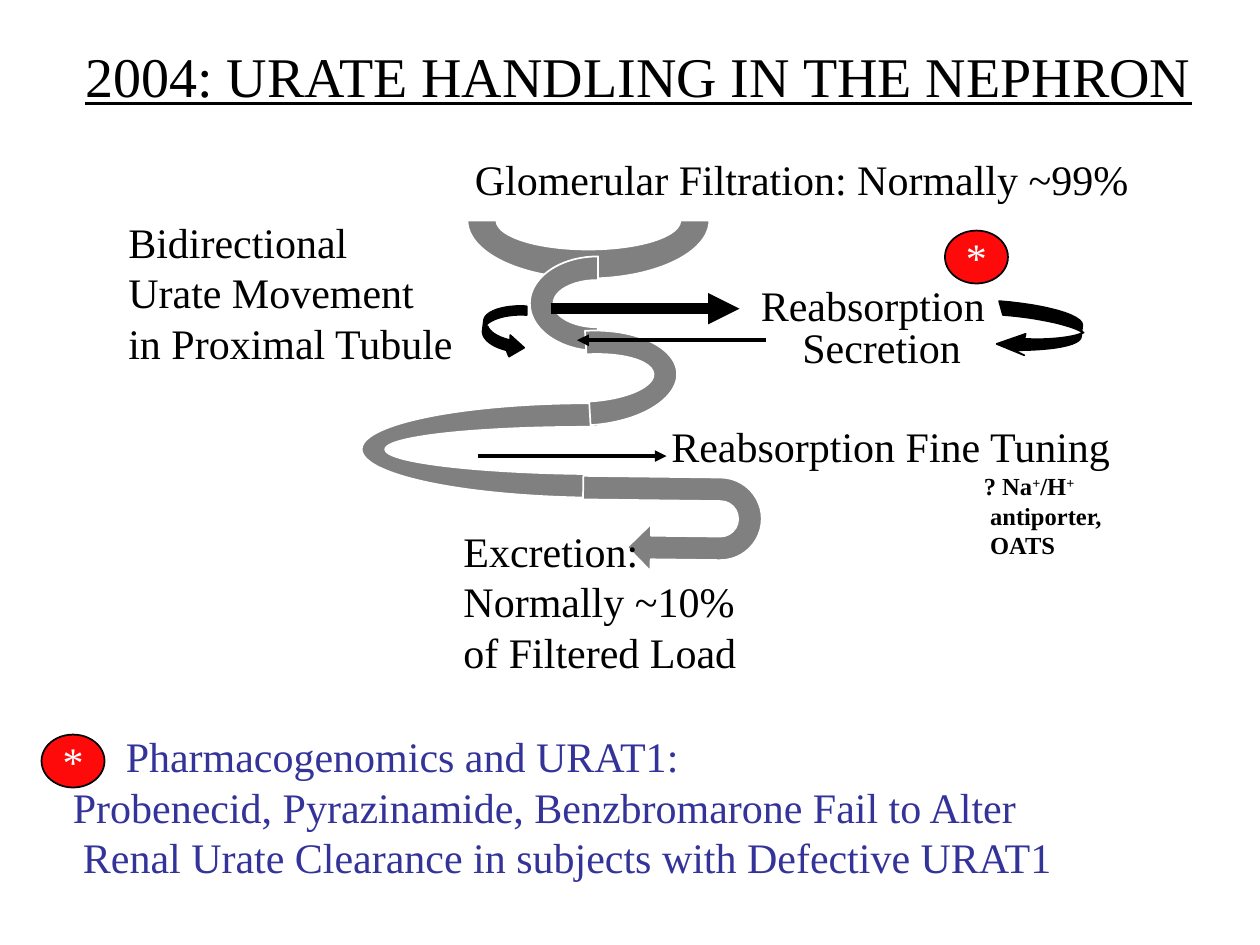
from pptx import Presentation
from pptx.dml.color import RGBColor
from pptx.enum.shapes import MSO_CONNECTOR, MSO_SHAPE
from pptx.enum.text import MSO_ANCHOR, MSO_AUTO_SIZE, PP_ALIGN
from pptx.oxml.ns import qn
from pptx.util import Inches, Pt
from lxml.etree import SubElement

FONT = "Times New Roman"
BLACK, WHITE, GRAY, RED, BLUE = "000000", "FFFFFF", "808080", "FF0A0A", "333399"

# preset, left, top, width, height, rotation, flipped vertically
TUBULE = [
    (MSO_SHAPE.BLOCK_ARC, 3.71, 1.29, 1.92, 0.92, 0, True),
    (MSO_SHAPE.BLOCK_ARC, 4.37, 1.7, 0.75, 3.75, 270.3, False),
    (MSO_SHAPE.U_TURN_ARROW, 4.96, 3.45, 0.75, 1.42, 90.7, False),
    (MSO_SHAPE.BLOCK_ARC, 4.37, 1.87, 0.75, 1.08, 270.3, False),
    (MSO_SHAPE.BLOCK_ARC, 4.29, 2.29, 0.75, 1.42, 86.6, False),
]

# start x, end x, y, line width
FLUXES = [(4.37, 5.87, 2.45, 6), (6.08, 4.58, 2.7, 2.25), (3.79, 5.29, 3.62, 2.25)]

# Each outline step is one point (straight) or three points (Bezier curve).
REABSORPTION_LOOP = [
    [(7.93, 2.39)],
    [(8.3, 2.42), (8.59, 2.5), (8.59, 2.58)],
    [(8.58, 2.67)],
    [(8.58, 2.74), (8.36, 2.78), (8.05, 2.78)],
    [(8.13, 2.82)], [(7.91, 2.73)], [(8.14, 2.65)], [(8.13, 2.69)],
    [(8.33, 2.7), (8.51, 2.68), (8.6, 2.64)],
    [(8.56, 2.62)],
    [(8.45, 2.57), (8.22, 2.52), (7.96, 2.5)],
]
TUBULE_LOOP = [
    [(4.18, 2.43)],
    [(4, 2.42), (3.84, 2.47), (3.84, 2.55)],
    [(3.83, 2.63)],
    [(3.83, 2.69), (3.9, 2.75), (4.02, 2.78)],
    [(4.04, 2.83)], [(4.16, 2.76)], [(4.05, 2.66)], [(4.05, 2.7)],
    [(3.96, 2.68), (3.89, 2.64), (3.87, 2.59)],
    [(3.85, 2.59)],
    [(3.89, 2.53), (4.03, 2.49), (4.18, 2.5)],
]


def color(hex_string):
    return RGBColor.from_string(hex_string)


def paint(shape, fill, line):
    shape.shadow.inherit = False
    shape.fill.solid()
    shape.fill.fore_color.rgb = color(fill)
    shape.line.color.rgb = color(line)
    shape.line.width = Pt(1)


def add_run(paragraph, text, size=24, ink=BLACK, bold=False, underline=False,
            superscript=False):
    run = paragraph.add_run()
    run.text = text
    font = run.font
    font.name, font.size, font.color.rgb = FONT, Pt(size), color(ink)
    if bold:
        font.bold = True
    if underline:
        font.underline = True
    if superscript:
        run._r.get_or_add_rPr().set("baseline", "30000")


def add_label(slide, left, top, width, height, lines, **style):
    """Add a text box; each line is a string or an (indent, string) pair."""
    box = slide.shapes.add_textbox(*map(Inches, (left, top, width, height)))
    frame = box.text_frame
    frame.word_wrap = False
    frame.auto_size = MSO_AUTO_SIZE.SHAPE_TO_FIT_TEXT
    for number, line in enumerate(lines):
        indent, text = line if isinstance(line, tuple) else (0, line)
        paragraph = frame.paragraphs[0] if number == 0 else frame.add_paragraph()
        indent_paragraph(paragraph, indent)
        add_run(paragraph, text, **style)
    return frame


def indent_paragraph(paragraph, indent):
    if indent:
        paragraph._p.get_or_add_pPr().set("marL", str(Inches(indent)))


def add_tubule_segment(slide, preset, left, top, width, height, rotation, flipped):
    segment = slide.shapes.add_shape(preset, *map(Inches, (left, top, width, height)))
    paint(segment, GRAY, WHITE)
    segment.rotation = rotation
    if flipped:
        segment._element.spPr.find(qn("a:xfrm")).set("flipV", "1")


def add_flux_arrow(slide, start, end, y, width):
    arrow = slide.shapes.add_connector(
        MSO_CONNECTOR.STRAIGHT, Inches(start), Inches(y), Inches(end), Inches(y))
    arrow.line.color.rgb = color(BLACK)
    arrow.line.width = Pt(width)
    SubElement(arrow.line._get_or_add_ln(), qn("a:tailEnd"), type="triangle")
    SubElement(arrow._element.spPr, qn("a:effectLst"))


def curve_points(start, first, second, end, steps=12):
    for step in range(1, steps + 1):
        t = step / steps
        weights = ((1 - t) ** 3, 3 * t * (1 - t) ** 2, 3 * t * t * (1 - t), t ** 3)
        yield tuple(sum(w * p[axis] for w, p in zip(weights, (start, first, second, end)))
                    for axis in (0, 1))


def add_curved_arrow(slide, outline):
    points = []
    for step in outline:
        points.extend(step if len(step) == 1 else curve_points(points[-1], *step))
    corners = [(Inches(x), Inches(y)) for x, y in points]
    builder = slide.shapes.build_freeform(*corners[0])
    builder.add_line_segments(corners[1:], close=True)
    paint(builder.convert_to_shape(), BLACK, BLACK)


def add_star_marker(slide, left, top):
    marker = slide.shapes.add_shape(
        MSO_SHAPE.OVAL, Inches(left), Inches(top), Inches(0.5), Inches(0.42))
    paint(marker, RED, BLACK)
    frame = marker.text_frame
    frame.word_wrap = False
    frame.vertical_anchor = MSO_ANCHOR.MIDDLE
    frame.paragraphs[0].alignment = PP_ALIGN.CENTER
    add_run(frame.paragraphs[0], "*", ink=WHITE)


def add_fine_tuning(slide):
    frame = add_label(slide, 5.23, 3.29, 3.7, 2, ["Reabsorption Fine Tuning"])
    transporters = [
        (2.48, [("? Na", False), ("+", True), ("/H", False), ("+", True)]),
        (2.53, [("antiporter,", False)]),
        (2.53, [("OATS", False)]),
    ]
    for indent, pieces in transporters:
        paragraph = frame.add_paragraph()
        indent_paragraph(paragraph, indent)
        for text, raised in pieces:
            add_run(paragraph, text, size=14, bold=True, superscript=raised)


def main():
    presentation = Presentation()
    presentation.slide_width, presentation.slide_height = Inches(10), Inches(7.5)
    slide = presentation.slides.add_slide(presentation.slide_layouts[6])

    for segment in TUBULE:
        add_tubule_segment(slide, *segment)
    for flux in FLUXES:
        add_flux_arrow(slide, *flux)

    add_label(slide, 5.94, 2.17, 1.98, 0.5, ["Reabsorption"])
    add_label(slide, 6.27, 2.5, 1.46, 0.5, ["Secretion"])
    add_fine_tuning(slide)
    add_label(slide, 3.58, 4.12, 2.43, 1.3,
              ["Excretion:", "Normally ~10%", "of Filtered Load"])
    add_label(slide, 3.67, 1.17, 5.39, 0.5, ["Glomerular Filtration: Normally ~99%"])
    for loop in (REABSORPTION_LOOP, TUBULE_LOOP):
        add_curved_arrow(slide, loop)
    add_label(slide, 0.92, 1.67, 2.79, 1.3,
              ["Bidirectional", "Urate Movement", "in Proximal Tubule"])
    add_label(slide, 0.58, 0.28, 9.04, 0.64, ["2004: URATE HANDLING IN THE NEPHRON"],
              size=32, underline=True)
    add_star_marker(slide, 7.5, 1.83)
    add_label(slide, 0.48, 5.75, 8.01, 1.3, [
        (0.42, "Pharmacogenomics and URAT1:"),
        "Probenecid, Pyrazinamide, Benzbromarone Fail to Alter",
        (0.08, "Renal Urate Clearance in subjects with Defective URAT1"),
    ], ink=BLUE)
    add_star_marker(slide, 0.33, 5.83)

    presentation.save("out.pptx")


if __name__ == "__main__":
    main()
